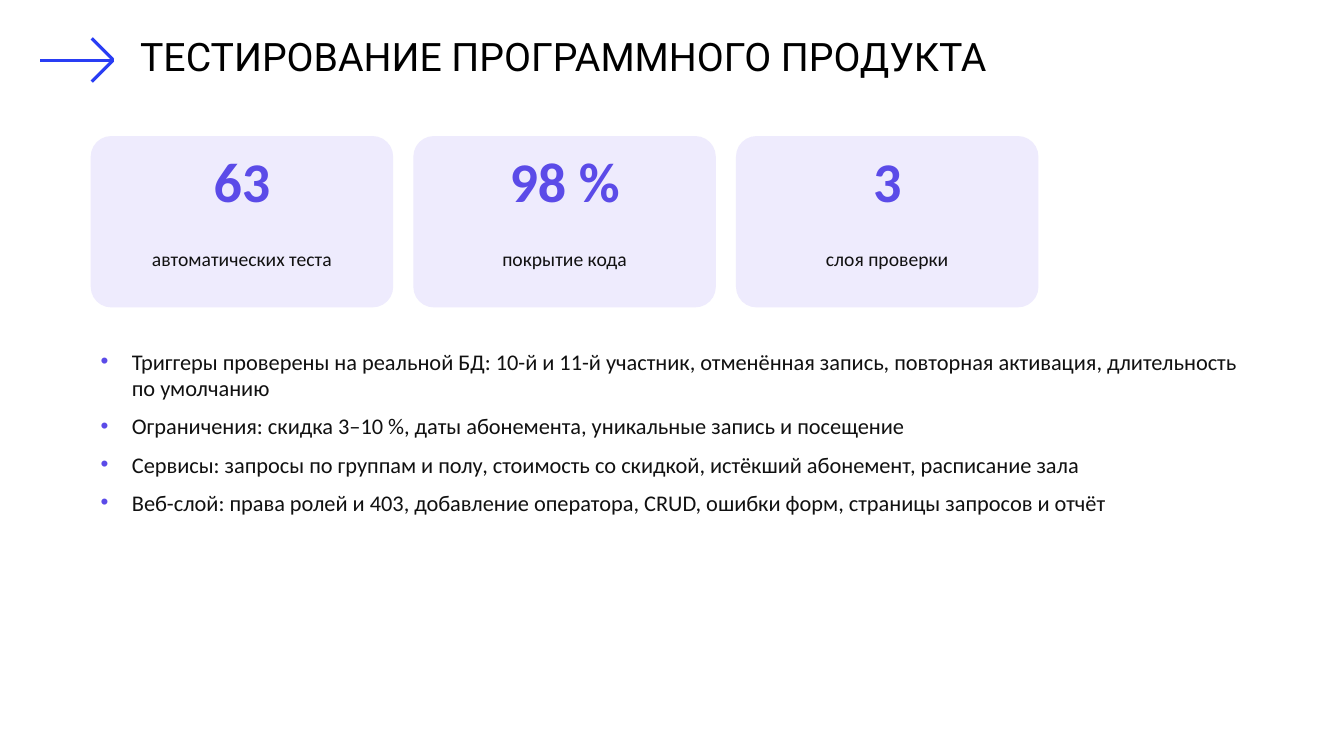
import dataclasses

import lxml.etree
import pptx
import pptx.dml.color
import pptx.enum.shapes
import pptx.enum.text
import pptx.oxml.ns
import pptx.util

Inches = pptx.util.Inches
Pt = pptx.util.Pt
Align = pptx.enum.text.PP_ALIGN


@dataclasses.dataclass(frozen=True)
class Theme:
    title_font: str = "Roboto"
    body_font: str = "Calibri"
    title_color: str = "000000"
    text_color: str = "111111"
    accent: str = "5B4BE8"
    arrow: str = "293DF4"
    card: str = "EEEBFD"
    title_size: int = 28
    number_size: int = 40
    caption_size: int = 14
    bullet_size: int = 16


def rgb(value):
    return pptx.dml.color.RGBColor.from_string(value)


def add_xml(parent, tag, **attributes):
    return lxml.etree.SubElement(parent, pptx.oxml.ns.qn(tag), attributes)


class SlideBuilder:
    def __init__(self, page, theme):
        self.page = page
        self.theme = theme

    def add_span(self, para, text, font, size, color, bold=False):
        span = para.add_run()
        span.text = text
        span.font.name = font
        span.font.size = Pt(size)
        span.font.bold = bold
        span.font.color.rgb = rgb(color)

    def title(self, text, left, top, width, height):
        box = self.page.shapes.title
        box.left, box.top = Inches(left), Inches(top)
        box.width, box.height = Inches(width), Inches(height)
        frame = box.text_frame
        frame.word_wrap = True
        frame.auto_size = pptx.enum.text.MSO_AUTO_SIZE.NONE
        frame.vertical_anchor = pptx.enum.text.MSO_ANCHOR.TOP
        para = frame.paragraphs[0]
        para.alignment = Align.LEFT
        self.add_span(para, text, self.theme.title_font, self.theme.title_size,
                      self.theme.title_color)

    def arrow(self, strokes):
        """Draw the strokes, each (x1, y1, x2, y2), as one group."""
        group = self.page.shapes.add_group_shape()
        for stroke in strokes:
            line = group.shapes.add_connector(
                pptx.enum.shapes.MSO_CONNECTOR.STRAIGHT, *map(Inches, stroke))
            line.line.color.rgb = rgb(self.theme.arrow)
            line.line.width = Pt(2.25)
            add_xml(line._element.spPr, "a:effectLst")

    def text_frame(self, left, top, width, height):
        box = self.page.shapes.add_textbox(*map(Inches, (left, top, width, height)))
        box.text_frame.word_wrap = True
        return box.text_frame

    def centered_text(self, text, area, size, color, bold=False):
        para = self.text_frame(*area).paragraphs[0]
        para.alignment = Align.CENTER
        para.space_after = Pt(6)
        self.add_span(para, text, self.theme.body_font, size, color, bold)

    def card(self, number, caption, left, top, width, height):
        theme = self.theme
        panel = self.page.shapes.add_shape(
            pptx.enum.shapes.MSO_SHAPE.ROUNDED_RECTANGLE,
            *map(Inches, (left, top, width, height)))
        panel.adjustments[0] = 0.12
        panel.shadow.inherit = False
        panel.fill.solid()
        panel.fill.fore_color.rgb = rgb(theme.card)
        panel.line.fill.background()
        self.centered_text(number, (left, top + 0.05, width, 0.9),
                           theme.number_size, theme.accent, bold=True)
        self.centered_text(caption, (left, top + 1.05, width, 0.5),
                           theme.caption_size, theme.text_color)

    def bullets(self, items, left, top, width, height):
        frame = self.text_frame(left, top, width, height)
        indent = Inches(0.31)
        for index, item in enumerate(items):
            para = frame.add_paragraph() if index else frame.paragraphs[0]
            properties = para._p.get_or_add_pPr()
            properties.set("marL", str(indent))
            properties.set("indent", str(-indent))
            add_xml(add_xml(properties, "a:buClr"), "a:srgbClr", val=self.theme.accent)
            add_xml(properties, "a:buFont", typeface="Arial")
            add_xml(properties, "a:buChar", char="•")
            para.space_after = Pt(8)
            self.add_span(para, item, self.theme.body_font, self.theme.bullet_size,
                          self.theme.text_color)


CARDS = [
    ("63", "автоматических теста"),
    ("98 %", "покрытие кода"),
    ("3", "слоя проверки"),
]
CHECKS = [
    "Триггеры проверены на реальной БД: 10-й и 11-й участник, отменённая запись, "
    "повторная активация, длительность по умолчанию",
    "Ограничения: скидка 3–10 %, даты абонемента, уникальные запись и посещение",
    "Сервисы: запросы по группам и полу, стоимость со скидкой, истёкший абонемент, "
    "расписание зала",
    "Веб-слой: права ролей и 403, добавление оператора, CRUD, ошибки форм, "
    "страницы запросов и отчёт",
]
ARROW = [
    (0.4, 0.6, 1.13, 0.6),
    (1.12, 0.59, 0.91, 0.38),
    (1.12, 0.6, 0.91, 0.81),
]


def main():
    deck = pptx.Presentation()
    deck.slide_width, deck.slide_height = Inches(13.33), Inches(7.5)
    title_only = deck.slide_layouts.get_by_name("Title Only")
    builder = SlideBuilder(deck.slides.add_slide(title_only), Theme())

    builder.title("ТЕСТИРОВАНИЕ ПРОГРАММНОГО ПРОДУКТА", 1.29, 0.27, 12.55, 1.04)
    builder.arrow(ARROW)
    margin, card_width, gap = 0.9, 3, 0.2
    for column, (number, caption) in enumerate(CARDS):
        left = margin + column * (card_width + gap)
        builder.card(number, caption, left, 1.35, card_width, 1.7)
    builder.bullets(CHECKS, margin, 3.4, 11.5, 3.3)
    deck.save("out.pptx")


if __name__ == "__main__":
    main()
